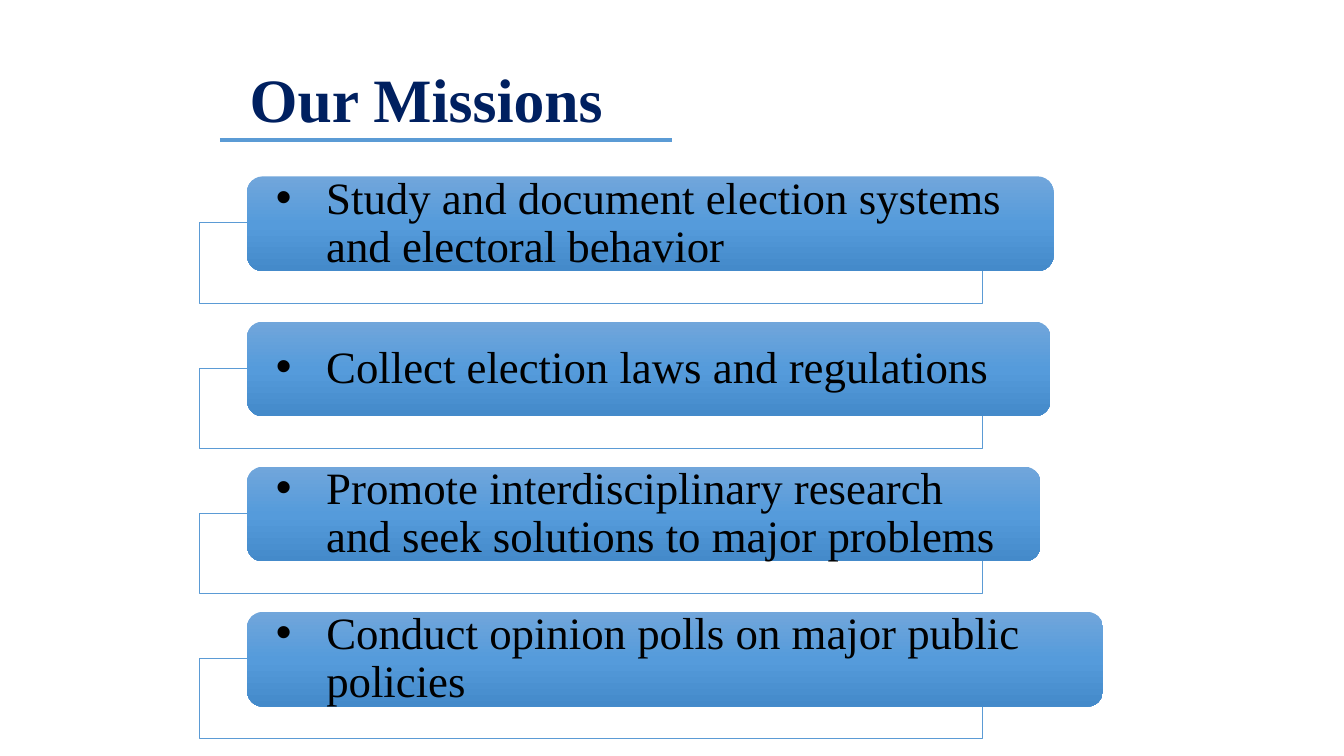
from copy import deepcopy
from pptx import Presentation
from pptx.dml.color import RGBColor as RGB
from pptx.enum.shapes import MSO_CONNECTOR as Link, MSO_SHAPE as Shape
from pptx.enum.text import MSO_ANCHOR as Anchor, PP_ALIGN as Align
from pptx.oxml.ns import qn
from pptx.oxml.xmlchemy import OxmlElement as Node
from pptx.util import Inches, Pt

FONT = "Times New Roman"
COLORS = {
    "title": "002060",
    "line": "5B9BD5",
    "text": "000000",
    "frame": "FFFFFF",
    "top": "71A6DB",
    "mid": "559BDB",
    "low": "448ACA",
}
MISSIONS = [
    ("Study and document election systems and electoral behavior", 8),
    ("Collect election laws and regulations", 7.97),
    ("Promote interdisciplinary research and seek solutions to major problems", 7.87),
    ("Conduct opinion polls on major public policies", 8.49),
]


def color(name):
    return RGB.from_string(COLORS[name])


def add_bullet(para, indent):
    props = para._p.get_or_add_pPr()
    props.set("marL", str(Inches(indent)))
    props.set("indent", str(-Inches(indent)))
    for tag, key, value in (("a:buFont", "typeface", "Arial"), ("a:buChar", "char", "•")):
        node = Node(tag)
        node.set(key, value)
        props.append(node)


def write(shape, text, size=32, ink="text", bold=False, align=Align.LEFT,
          anchor=Anchor.MIDDLE, inset=(0.1, 0.05), bullet=False, spacing=1.0):
    frame = shape.text_frame
    frame.word_wrap = True
    frame.vertical_anchor = anchor
    frame.margin_left = frame.margin_right = Inches(inset[0])
    frame.margin_top = frame.margin_bottom = Inches(inset[1])
    para = frame.paragraphs[0]
    if bullet:
        add_bullet(para, 0.5)
    para.alignment = align
    para.line_spacing = spacing
    run = para.add_run()
    run.text = text
    run.font.name = FONT
    run.font.size = Pt(size)
    run.font.bold = bold
    run.font.color.rgb = color(ink)


def shade(shape):
    fill = shape.fill
    fill.gradient()
    fill.gradient_angle = 270
    stops = shape._element.spPr.find(".//" + qn("a:gsLst"))
    stops.append(deepcopy(stops[-1]))
    for stop, place, name in zip(fill.gradient_stops, (0, 0.5, 1), ("top", "mid", "low")):
        stop.position = place
        stop.color.rgb = color(name)


def add_title(slide, left, top, width, height):
    box = slide.shapes.add_textbox(Inches(left), Inches(top), Inches(width), Inches(height))
    write(box, "Our Missions", size=44, ink="title", bold=True,
          align=Align.CENTER, anchor=Anchor.BOTTOM)
    base = Inches(top + height)
    rule = slide.shapes.add_connector(
        Link.STRAIGHT, Inches(left + 0.2), base, Inches(left + width + 0.19), base)
    rule.line.color.rgb = color("line")
    rule.line.width = Pt(3)
    rule._element.spPr.append(Node("a:effectLst"))


def add_mission(slide, left, top, width, text, span):
    frame = slide.shapes.add_shape(
        Shape.RECTANGLE, Inches(left), Inches(top + 0.46), Inches(width), Inches(0.8))
    frame.shadow.inherit = False
    frame.fill.solid()
    frame.fill.fore_color.rgb = color("frame")
    alpha = Node("a:alpha")
    alpha.set("val", "90000")
    frame._element.spPr.find(".//" + qn("a:srgbClr")).append(alpha)
    frame.line.color.rgb = color("line")
    frame.line.width = Pt(0.5)

    card = slide.shapes.add_shape(
        Shape.ROUNDED_RECTANGLE, Inches(left + 0.47), Inches(top), Inches(span), Inches(0.94))
    card.shadow.inherit = False
    card.line.fill.background()
    shade(card)
    write(card, text, inset=(0.24, 0), bullet=True, spacing=0.9)


def add_list(slide, left, top, width, step):
    for row, (text, span) in enumerate(MISSIONS):
        add_mission(slide, left, top + row * step, width, text, span)


def main():
    deck = Presentation()
    deck.slide_width = Inches(13.33)
    deck.slide_height = Inches(7.5)
    slide = deck.slides.add_slide(deck.slide_layouts[6])
    add_title(slide, 1.98, 0.6, 4.5, 0.79)
    add_list(slide, 1.98, 1.75, 7.76, 1.44)
    deck.save("out.pptx")


if __name__ == "__main__":
    main()
